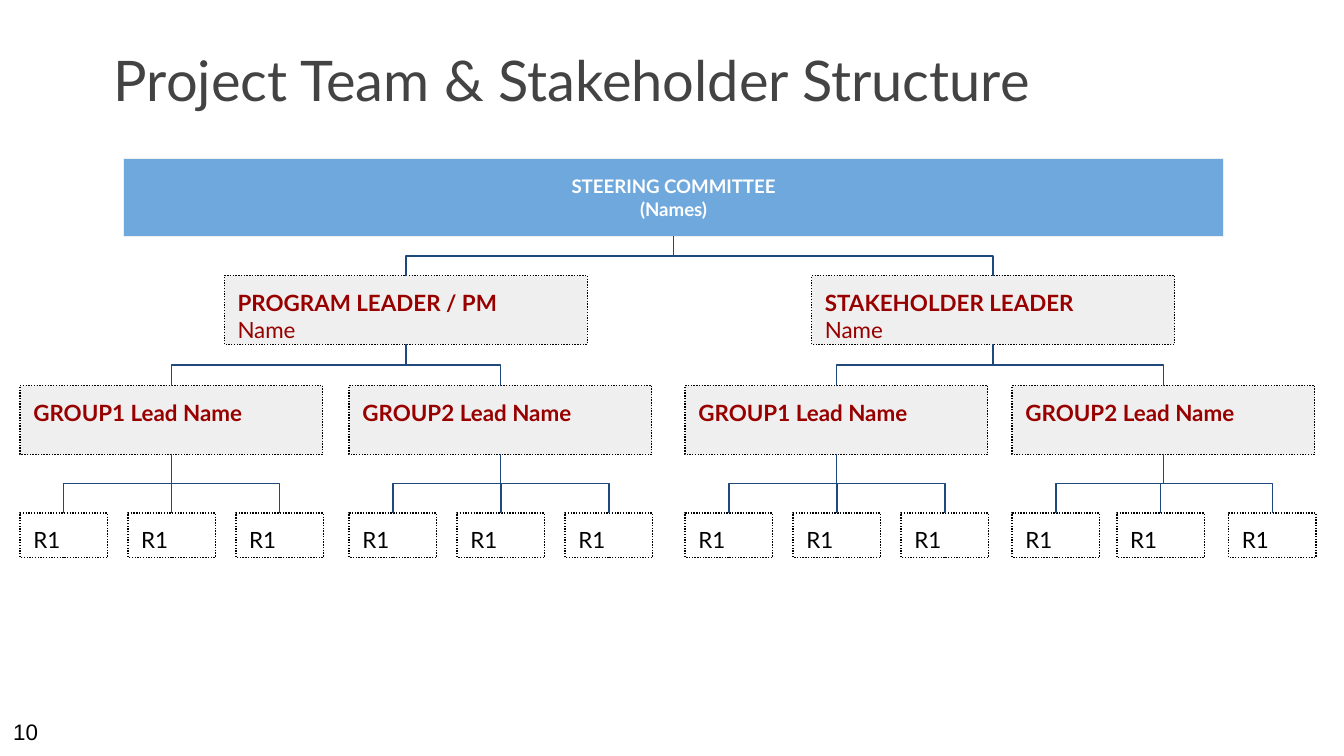
from dataclasses import dataclass

from lxml.etree import SubElement
from pptx import Presentation
from pptx.dml.color import RGBColor
from pptx.enum.dml import MSO_LINE_DASH_STYLE as Dash
from pptx.enum.shapes import MSO_AUTO_SHAPE_TYPE as ShapeType
from pptx.enum.shapes import MSO_CONNECTOR_TYPE as ConnectorType
from pptx.enum.text import MSO_ANCHOR as Anchor
from pptx.enum.text import PP_ALIGN as Align
from pptx.oxml.ns import qn
from pptx.shapes.autoshape import Shape
from pptx.slide import Slide
from pptx.text.text import TextFrame
from pptx.util import Cm, Pt

COLORS = {
    "title": "434343",
    "text": "000000",
    "committee": "6FA8DC",
    "committee_text": "FFFFFF",
    "lead": "EFEFEF",
    "lead_text": "980000",
    "branch": "1F497D",
}

TOP_SITE, BOTTOM_SITE = 0, 2
LEADER_TOP, GROUP_TOP, MEMBER_TOP = 5.21, 7.29, 9.7
EVEN_OFFSETS = (0, 2.04, 4.08)


@dataclass(frozen=True)
class Line:
    text: str
    bold: bool = False


@dataclass(frozen=True)
class TextStyle:
    color: str
    size: float = 12
    font: str = "Lato"
    align: Align = Align.LEFT
    anchor: Anchor = Anchor.TOP
    inset: float = 0.25


@dataclass(frozen=True)
class BoxStyle:
    width: float
    height: float
    text: TextStyle
    border: str = "text"
    fill: str | None = None
    dash: Dash | None = Dash.ROUND_DOT


@dataclass(frozen=True)
class Group:
    name: str
    left: float
    member_offsets: tuple[float, ...] = EVEN_OFFSETS


@dataclass(frozen=True)
class Leader:
    role: str
    left: float
    groups: tuple[Group, ...]


LEAD_TEXT = TextStyle("lead_text")
COMMITTEE_BOX = BoxStyle(
    20.78, 1.47,
    TextStyle("committee_text", 10, align=Align.CENTER, anchor=Anchor.MIDDLE),
    border="lead", fill="committee", dash=None,
)
LEADER_BOX = BoxStyle(6.86, 1.3, LEAD_TEXT, fill="lead")
GROUP_BOX = BoxStyle(5.72, 1.3, LEAD_TEXT, fill="lead")
MEMBER_BOX = BoxStyle(1.65, 0.84, TextStyle("text"))

LEADERS = (
    Leader("PROGRAM LEADER / PM", 4.24, (
        Group("GROUP1 Lead Name", 0.38),
        Group("GROUP2 Lead Name", 6.6),
    )),
    Leader("STAKEHOLDER LEADER", 15.34, (
        Group("GROUP1 Lead Name", 12.95),
        Group("GROUP2 Lead Name", 19.13, (0, 1.98, 4.09)),
    )),
)


def rgb(name: str) -> RGBColor:
    return RGBColor.from_string(COLORS[name])


def write_lines(frame: TextFrame, lines: list[Line], style: TextStyle) -> None:
    frame.word_wrap = True
    frame.vertical_anchor = style.anchor
    frame.margin_left = frame.margin_right = Cm(0.25)
    frame.margin_top = frame.margin_bottom = Cm(style.inset)
    for index, line in enumerate(lines):
        paragraph = frame.add_paragraph() if index else frame.paragraphs[0]
        paragraph.alignment = style.align
        run = paragraph.add_run()
        run.text = line.text
        run.font.name = style.font
        run.font.size = Pt(style.size)
        run.font.bold = line.bold
        run.font.color.rgb = rgb(style.color)


def add_label(slide: Slide, left: float, top: float, width: float, height: float,
              text: str, style: TextStyle) -> None:
    label = slide.shapes.add_textbox(Cm(left), Cm(top), Cm(width), Cm(height))
    write_lines(label.text_frame, [Line(text)], style)


def add_box(slide: Slide, left: float, top: float, lines: list[Line],
            style: BoxStyle) -> Shape:
    box = slide.shapes.add_shape(
        ShapeType.RECTANGLE, Cm(left), Cm(top), Cm(style.width), Cm(style.height))
    box.shadow.inherit = False
    if style.fill:
        box.fill.solid()
        box.fill.fore_color.rgb = rgb(style.fill)
    else:
        box.fill.background()
    box.line.color.rgb = rgb(style.border)
    box.line.width = Pt(0.75)
    if style.dash:
        box.line.dash_style = style.dash
    write_lines(box.text_frame, lines, style.text)
    return box


def add_branch(slide: Slide, parent: Shape, child: Shape) -> None:
    """Join parent bottom to child top by an elbow turned to leave vertically."""
    start_x, start_y = parent.left + parent.width // 2, parent.top + parent.height
    end_x, end_y = child.left + child.width // 2, child.top
    drop, shift = end_y - start_y, end_x - start_x

    branch = slide.shapes.add_connector(ConnectorType.ELBOW, start_x, start_y, end_x, end_y)
    branch.begin_connect(parent, BOTTOM_SITE)
    branch.end_connect(child, TOP_SITE)
    branch.width, branch.height = drop, abs(shift)
    branch.left = (start_x + end_x - drop) // 2
    branch.top = (start_y + end_y - abs(shift)) // 2

    properties = branch._element.spPr
    transform = properties.find(qn("a:xfrm"))
    transform.set("rot", str((270 if shift > 0 else 90) * 60000))
    transform.set("flipH", "1" if shift > 0 else "0")
    transform.set("flipV", "0")
    branch.line.color.rgb = rgb("branch")
    branch.line.width = Pt(0.75)
    SubElement(properties, qn("a:effectLst"))


def add_group(slide: Slide, group: Group, leader_box: Shape) -> None:
    group_box = add_box(slide, group.left, GROUP_TOP, [Line(group.name, True)], GROUP_BOX)
    add_branch(slide, leader_box, group_box)
    for offset in group.member_offsets:
        member_box = add_box(
            slide, group.left + offset, MEMBER_TOP, [Line("R1")], MEMBER_BOX)
        add_branch(slide, group_box, member_box)


def main() -> None:
    deck = Presentation()
    deck.slide_width, deck.slide_height = Cm(25.4), Cm(14.29)
    slide = deck.slides.add_slide(deck.slide_layouts[6])

    add_label(slide, 1.9, 0.81, 21.59, 1.57, "Project Team & Stakeholder Structure",
              TextStyle("title", 30, anchor=Anchor.BOTTOM))
    add_label(slide, 0, 13.44, 1.4, 0.81, "10",
              TextStyle("text", font="Arial", inset=0.13))

    committee_box = add_box(
        slide, 2.34, 3, [Line("STEERING COMMITTEE", True), Line("(Names)", True)],
        COMMITTEE_BOX)
    for leader in LEADERS:
        leader_box = add_box(
            slide, leader.left, LEADER_TOP, [Line(leader.role, True), Line("Name")],
            LEADER_BOX)
        add_branch(slide, committee_box, leader_box)
        for group in leader.groups:
            add_group(slide, group, leader_box)

    deck.save("out.pptx")


if __name__ == "__main__":
    main()
